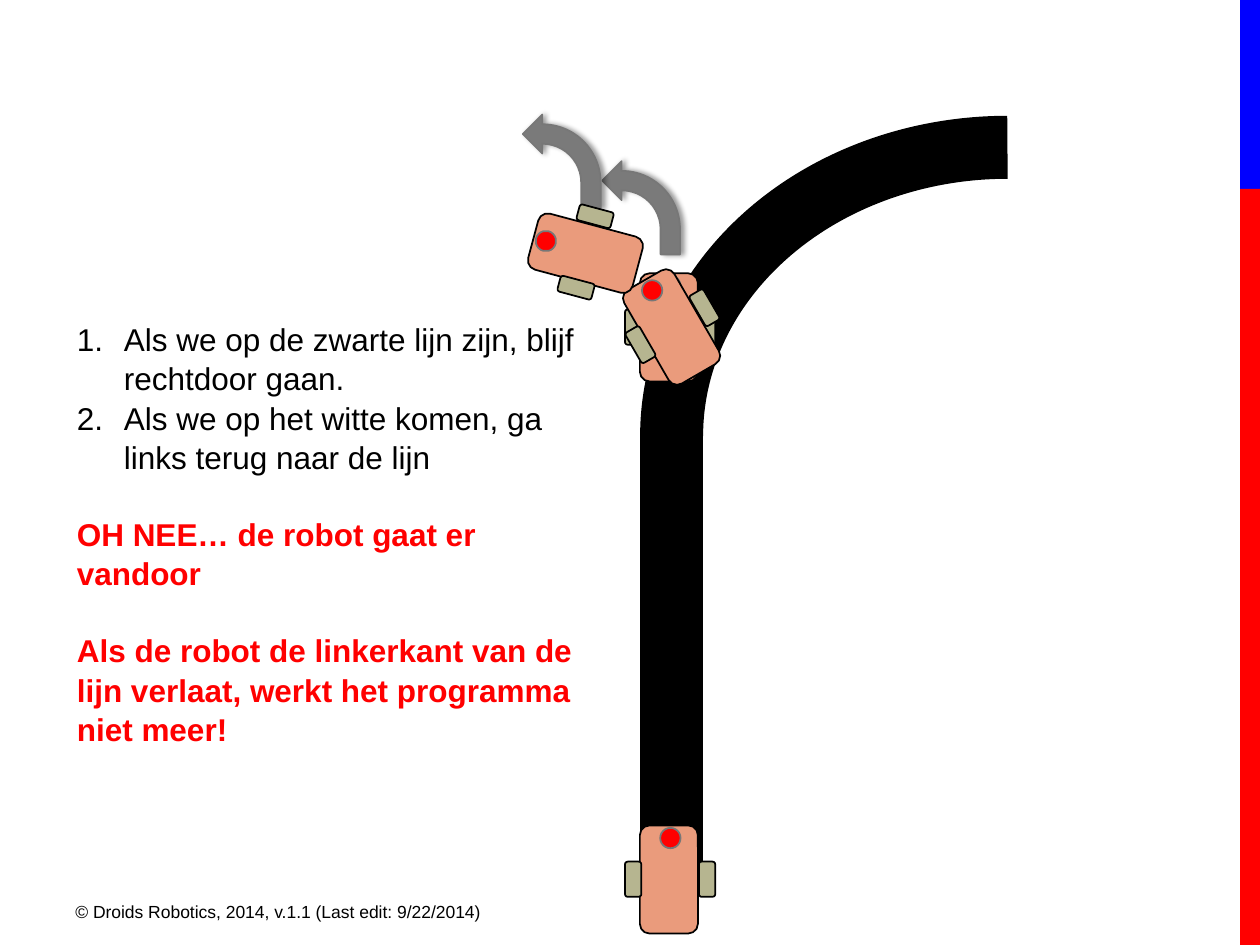
from dataclasses import dataclass

from lxml import etree
from pptx import Presentation
from pptx.dml.color import RGBColor
from pptx.enum import shapes, text
from pptx.oxml import ns
from pptx.util import Cm, Pt

KIND = shapes.MSO_SHAPE


@dataclass(frozen=True)
class Theme:
    black: str = "000000"
    red: str = "FF0000"
    blue: str = "0000FF"
    body: str = "EA9B7C"
    wheel: str = "B6B590"
    arrow: str = "7A7A7A"
    outline: str = "777777"
    font: str = "Arial"
    text_size: int = 18
    footer_size: int = 10
    line_pitch: float = 21.6
    road_width: int = 36


theme = Theme()


def add_part(parent, kind, frame, fill=None, line=None, width=1):
    """Add a preset shape; frame is left, top, width, height in cm."""
    part = parent.shapes.add_shape(kind, *map(Cm, frame))
    part.shadow.inherit = False
    for paint, color in ((part.fill, fill), (part.line.fill, line)):
        if color:
            paint.solid()
            paint.fore_color.rgb = RGBColor.from_string(color)
        else:
            paint.background()
    if line:
        part.line.width = Pt(width)
    return part


def add_text(page, frame, paragraphs, size, frame_format):
    """Add a text box from (text, run format, paragraph format, numbered) rows."""
    box = page.shapes.add_textbox(*map(Cm, frame)).text_frame
    for name, value in frame_format.items():
        setattr(box, name, value)
    for index, (words, color, bold, para_format, numbered) in enumerate(paragraphs):
        para = box.paragraphs[0] if index == 0 else box.add_paragraph()
        for name, value in para_format.items():
            setattr(para, name, value)
        if numbered:
            props = para._p.get_or_add_pPr()
            props.set("marL", str(Cm(0.95)))
            props.set("indent", str(Cm(-0.95)))
            etree.SubElement(props, ns.qn("a:buFont"), typeface="+mj-lt")
            etree.SubElement(props, ns.qn("a:buAutoNum"), type="arabicPeriod")
        span = para.add_run()
        span.text = words
        font_format = {"name": theme.font, "size": Pt(size), "bold": bold}
        for name, value in font_format.items():
            setattr(span.font, name, value)
        span.font.color.rgb = RGBColor.from_string(color)


deck = Presentation()
deck.slide_width, deck.slide_height = Cm(25.4), Cm(19.05)
page = deck.slides.add_slide(deck.slide_layouts[6])

# Side bar
add_part(page, KIND.RECTANGLE, (25, 0, 0.4, 3.81), theme.blue)
add_part(page, KIND.RECTANGLE, (25, 3.81, 0.4, 15.24), theme.red)

# Road: a straight stretch and a quarter bend
road = page.shapes.add_connector(
    shapes.MSO_CONNECTOR.STRAIGHT, Cm(13.54), Cm(17.68), Cm(13.54), Cm(8.74))
road.line.color.rgb = RGBColor.from_string(theme.black)
road.line.width = Pt(theme.road_width)
etree.SubElement(road._element.spPr, ns.qn("a:effectLst"))
bend = add_part(page, KIND.ARC, (13.54, 2.97, 13.54, 11.63),
                line=theme.black, width=theme.road_width)
bend._element.spPr.xfrm.set("flipH", "1")

# Robots with their turn arrows; part frames are relative to the robot's centre
ROBOT_PARTS = (
    (KIND.ROUNDED_RECTANGLE, (-0.61, -1.09, 1.17, 2.18), theme.body, theme.black),
    (KIND.ROUNDED_RECTANGLE, (0.58, -0.36, 0.33, 0.71), theme.wheel, theme.black),
    (KIND.ROUNDED_RECTANGLE, (-0.91, -0.36, 0.33, 0.71), theme.wheel, theme.black),
    (KIND.OVAL, (-0.2, -1.04, 0.41, 0.41), theme.red, theme.outline),
)
ROBOTS = (  # centre x, centre y, rotation, top left of the arrow behind it
    (13.51, 17.73, 0, None),
    (13.51, 6.6, 0, None),
    (13.56, 6.58, 330, (12.14, 3.25)),
    (11.81, 5.08, 285, (10.54, 2.31)),
)
for x, y, rotation, arrow_corner in ROBOTS:
    if arrow_corner:
        arrow = add_part(page, KIND.BENT_ARROW, (*arrow_corner, 1.57, 1.88),
                         theme.arrow, theme.outline)
        arrow.adjustments[3] = 0.75
        arrow._element.spPr.xfrm.set("flipH", "1")
        effects = arrow._element.spPr.find(ns.qn("a:effectLst"))
        shadow = etree.SubElement(effects, ns.qn("a:outerShdw"), dir="0",
                                  blurRad=str(Pt(3.1)), dist=str(Pt(1.8)))
        tint = etree.SubElement(shadow, ns.qn("a:srgbClr"), val=theme.black)
        etree.SubElement(tint, ns.qn("a:alpha"), val="40000")
    robot = page.shapes.add_group_shape()
    for kind, (left, top, width, height), fill, line in ROBOT_PARTS:
        add_part(robot, kind, (x + left, y + top, width, height), fill, line)
    robot.rotation = rotation

# Text
pitch = {"line_spacing": 1.04}
gap = {**pitch, "space_before": Pt(theme.line_pitch)}
add_text(page, (1.3, 6.3, 10.72, 8.71), (
    ("Als we op de zwarte lijn zijn, blijf rechtdoor gaan.",
     theme.black, False, pitch, True),
    ("Als we op het witte komen, ga links terug naar de lijn",
     theme.black, False, pitch, True),
    ("OH NEE… de robot gaat er vandoor", theme.red, True, gap, False),
    ("Als de robot de linkerkant van de lijn verlaat, werkt het programma niet meer!",
     theme.red, True, gap, False),
), theme.text_size,
    {"word_wrap": True, "auto_size": text.MSO_AUTO_SIZE.SHAPE_TO_FIT_TEXT})
add_text(page, (1.27, 18.03, 9.53, 0.79), (
    ("© Droids Robotics, 2014, v.1.1 (Last edit: 9/22/2014)",
     theme.black, False, {}, False),
), theme.footer_size, {"word_wrap": True})

deck.save("out.pptx")
